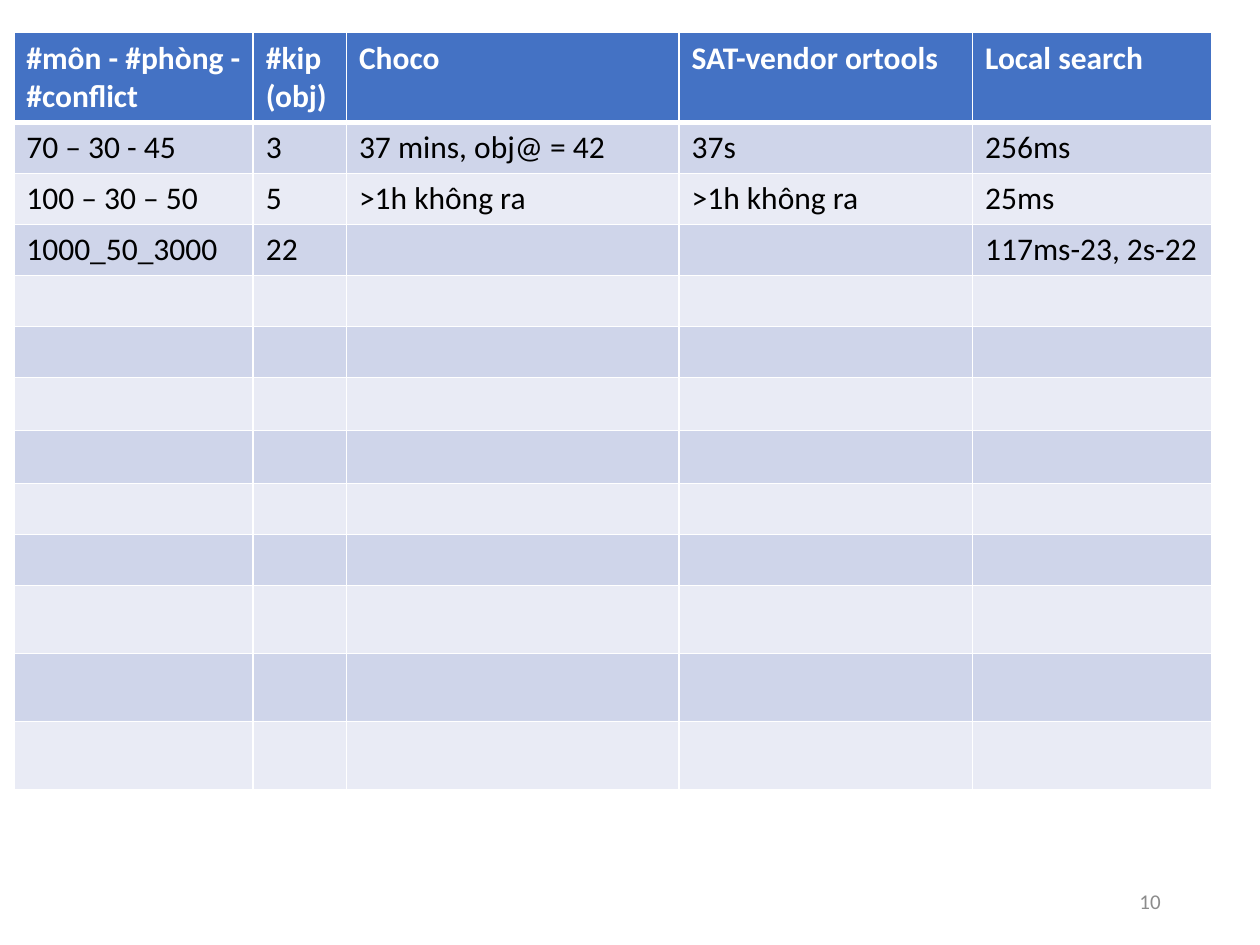
from lxml import etree
from pptx import Presentation
from pptx.dml.color import RGBColor
from pptx.enum.text import MSO_ANCHOR, PP_ALIGN
from pptx.oxml.ns import qn
from pptx.util import Inches, Pt

MIDDLE, RIGHT = MSO_ANCHOR.MIDDLE, PP_ALIGN.RIGHT
WHITE = RGBColor(0xFF, 0xFF, 0xFF)
BLACK = RGBColor(0x00, 0x00, 0x00)
GRAY = RGBColor(0x8C, 0x8C, 0x8C)
HEADER = RGBColor(0x44, 0x72, 0xC4)
BANDS = (RGBColor(0xE9, 0xEB, 0xF5), RGBColor(0xCF, 0xD5, 0xEA))
FONT = "Calibri"

# Content: header, then results; remaining rows stay empty
ROWS = [
    ("#môn - #phòng - #conflict", "#kip (obj)", "Choco", "SAT-vendor ortools", "Local search"),
    ("70 – 30 - 45", "3", "37 mins, obj@ = 42", "37s", "256ms"),
    ("100 – 30 – 50 ", "5", ">1h không ra", ">1h không ra", "25ms"),
    ("1000_50_3000", "22", "", "", "117ms-23, 2s-22"),
]
COL_WIDTHS = [1.9, 0.74, 2.64, 2.33, 1.9]
ROW_HEIGHTS = [0.69] + [0.39] * 5 + [0.42] * 2 + [0.39] * 2 + [0.54] * 3
PAGE_NUMBER = "10"


def add_run(p, text, size, color, bold=False):
    r = p.add_run()
    r.text = text
    r.font.name, r.font.size, r.font.bold = FONT, Pt(size), bold
    r.font.color.rgb = color


def set_borders(cell, **widths):
    tc_pr = cell._tc.get_or_add_tcPr()
    for side in ("L", "R", "T", "B"):
        ln = etree.SubElement(tc_pr, qn(f"a:ln{side}"), w=str(Pt(widths.get(side, 1))))
        fill = etree.SubElement(ln, qn("a:solidFill"))
        etree.SubElement(fill, qn("a:srgbClr"), val=str(WHITE))


prs = Presentation()
prs.slide_width, prs.slide_height = Inches(10), Inches(7.5)
s = prs.slides.add_slide(prs.slide_layouts[6])

# Results table
table = s.shapes.add_table(
    len(ROW_HEIGHTS), len(COL_WIDTHS), Inches(0.11), Inches(0.26),
    Inches(sum(COL_WIDTHS)), Inches(sum(ROW_HEIGHTS))).table
for col, width in zip(table.columns, COL_WIDTHS):
    col.width = Inches(width)
for i, height in enumerate(ROW_HEIGHTS):
    table.rows[i].height = Inches(height)
    is_header = i == 0
    for j in range(len(COL_WIDTHS)):
        cell = table.cell(i, j)
        set_borders(cell, B=3 if is_header else 1, T=3 if i == 1 else 1)
        cell.fill.solid()
        cell.fill.fore_color.rgb = HEADER if is_header else BANDS[i % 2]
        if i < len(ROWS) and ROWS[i][j]:
            add_run(cell.text_frame.paragraphs[0], ROWS[i][j], 18,
                    WHITE if is_header else BLACK, is_header)

# Page number
tf = s.shapes.add_textbox(Inches(7.06), Inches(6.95), Inches(2.25), Inches(0.4)).text_frame
tf.word_wrap = True
tf.vertical_anchor = MIDDLE
p = tf.paragraphs[0]
p.alignment = RIGHT
add_run(p, PAGE_NUMBER, 12, GRAY)

prs.save("out.pptx")
